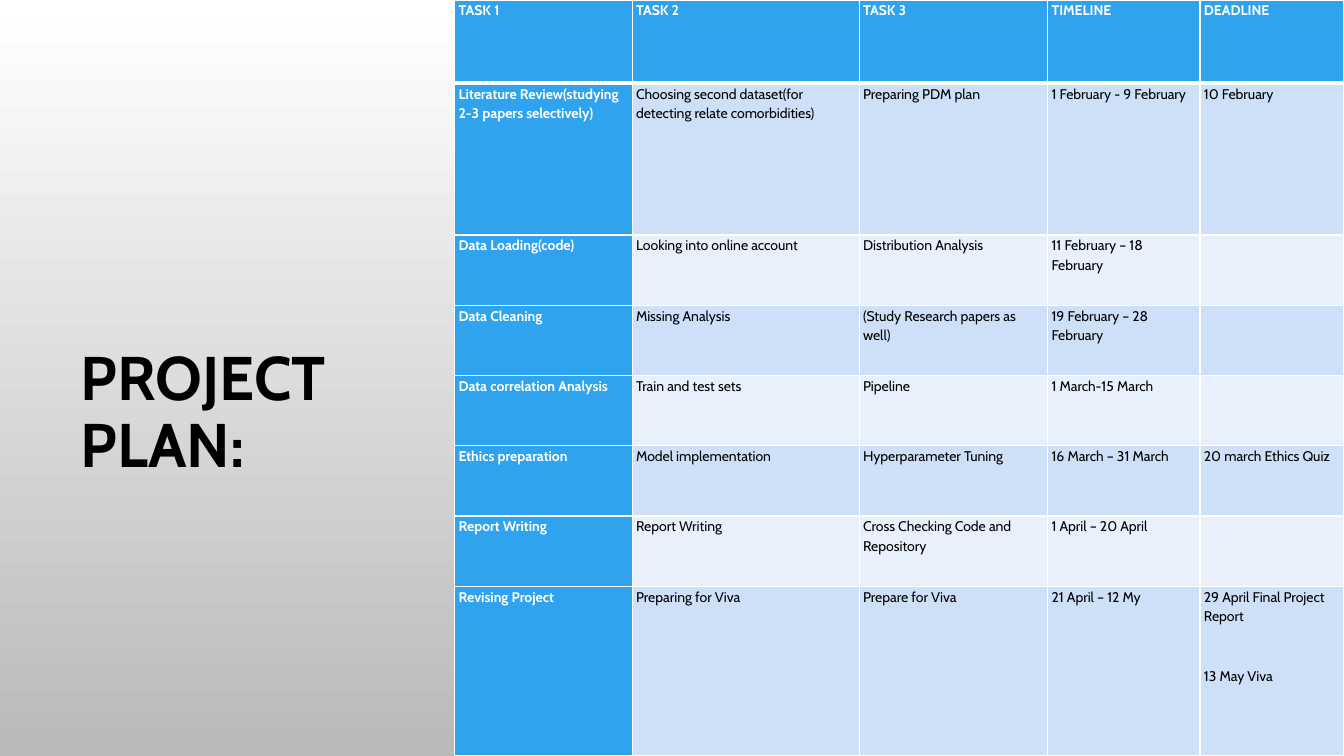
"""Build the project plan slide: a title beside a full-height schedule table."""
import pptx
import pptx.dml.color
import pptx.enum.text
import pptx.oxml
import pptx.oxml.ns
import pptx.util
from pptx.util import Cm, Pt

TITLE = "PROJECT PLAN:"
SCHEDULE = [
    ("TASK 1", "TASK 2", "TASK 3", "TIMELINE", "DEADLINE"),
    ("Literature Review(studying 2-3 papers selectively)",
     "Choosing second dataset(for detecting relate comorbidities)",
     "Preparing PDM plan", "1 February - 9 February", "10 February"),
    ("Data Loading(code)", "Looking into online account", "Distribution Analysis",
     "11 February – 18 February", ""),
    ("Data Cleaning", "Missing Analysis", "(Study Research papers as well)",
     "19 February – 28 February", ""),
    ("Data correlation Analysis", "Train and test sets", "Pipeline", "1 March-15 March", ""),
    ("Ethics preparation", "Model implementation", "Hyperparameter Tuning",
     "16 March – 31 March", "20 march Ethics Quiz"),
    ("Report Writing", "Report Writing", "Cross Checking Code and Repository",
     "1 April – 20 April", ""),
    ("Revising Project", "Preparing for Viva", "Prepare for Viva", "21 April – 12 My",
     "29 April Final Project Report\n13 May Viva"),
]
COLUMN_WIDTHS = (4.47, 5.72, 4.75, 3.84, 3.63)
ROW_HEIGHTS = (2.1, 3.82, *[1.77] * 5, 4.28)
SLIDE_WIDTH, SLIDE_HEIGHT = 33.87, 19.05
THEME = {
    "font": "Cabin", "title_size": 44, "cell_size": 10,
    "dark": "000000", "light": "FFFFFF", "accent": "2FA3EE",
    "bands": ("E8F0FC", "CDE0F8"), "background": ("FFFFFF", "B9B9B9"),
    "border": 1, "header_border": 3,
}


def color(value):
    """Turn a hex string into a colour."""
    return pptx.dml.color.RGBColor.from_string(value)


def style_text(para, size, text_color, bold, line_spacing):
    """Apply the theme font and the line spacing to one paragraph."""
    para.line_spacing = line_spacing
    for span in para.runs:
        span.font.name = THEME["font"]
        span.font.size = Pt(size)
        span.font.bold = bold
        span.font.color.rgb = color(text_color)


def add_borders(cell, row):
    """Draw white borders, with a thicker one under the header row."""
    thick, thin = THEME["header_border"], THEME["border"]
    widths = {"lnL": thin, "lnR": thin,
              "lnT": thick if row == 1 else thin, "lnB": thick if row == 0 else thin}
    properties = cell._tc.get_or_add_tcPr()
    for side, width in widths.items():
        properties.append(pptx.oxml.parse_xml(
            f'<a:{side} {pptx.oxml.ns.nsdecls("a")} w="{Pt(width)}"><a:solidFill>'
            f'<a:srgbClr val="{THEME["light"]}"/></a:solidFill></a:{side}>'))


def fill_cell(cell, text, row, column):
    """Write and format one schedule cell."""
    heading = row == 0 or column == 0
    add_borders(cell, row)
    cell.fill.solid()
    cell.fill.fore_color.rgb = color(THEME["accent"] if heading else THEME["bands"][row % 2])
    cell.margin_left = cell.margin_right = Cm(0.1)
    cell.margin_top = cell.margin_bottom = 0
    cell.text_frame.text = text
    for index, para in enumerate(cell.text_frame.paragraphs):
        para.space_before = Pt(21 if index else 0)
        para.space_after = Pt(8)
        style_text(para, THEME["cell_size"], THEME["light" if heading else "dark"], heading, 1.15)


def add_background(page):
    """Shade the page from top to bottom."""
    fill = page.background.fill
    fill.gradient()
    fill.gradient_angle = 270
    for stop, value in zip(fill.gradient_stops, THEME["background"]):
        stop.color.rgb = color(value)


def add_title(page):
    """Place the title left of the table."""
    box = page.shapes.add_textbox(Cm(1.78), Cm(3.66), Cm(7.9), Cm(10.21))
    frame = box.text_frame
    frame.word_wrap = True
    frame.vertical_anchor = pptx.enum.text.MSO_ANCHOR.MIDDLE
    frame.margin_top = Cm(3.45)
    frame.text = TITLE
    style_text(frame.paragraphs[0], THEME["title_size"], THEME["dark"], True, 0.9)


def add_schedule(page):
    """Place the schedule table against the right edge."""
    width = sum(COLUMN_WIDTHS)
    table = page.shapes.add_table(
        len(SCHEDULE), len(COLUMN_WIDTHS),
        Cm(SLIDE_WIDTH - width), 0, Cm(width), Cm(sum(ROW_HEIGHTS))).table
    table.horz_banding = False
    for column, column_width in zip(table.columns, COLUMN_WIDTHS):
        column.width = Cm(column_width)
    for row, height in zip(table.rows, ROW_HEIGHTS):
        row.height = Cm(height)
    for row, texts in enumerate(SCHEDULE):
        for column, text in enumerate(texts):
            fill_cell(table.cell(row, column), text, row, column)


def main():
    """Build and save the deck."""
    deck = pptx.Presentation()
    deck.slide_width, deck.slide_height = Cm(SLIDE_WIDTH), Cm(SLIDE_HEIGHT)
    page = deck.slides.add_slide(deck.slide_layouts[6])
    add_background(page)
    add_title(page)
    add_schedule(page)
    deck.save("out.pptx")


if __name__ == "__main__":
    main()
